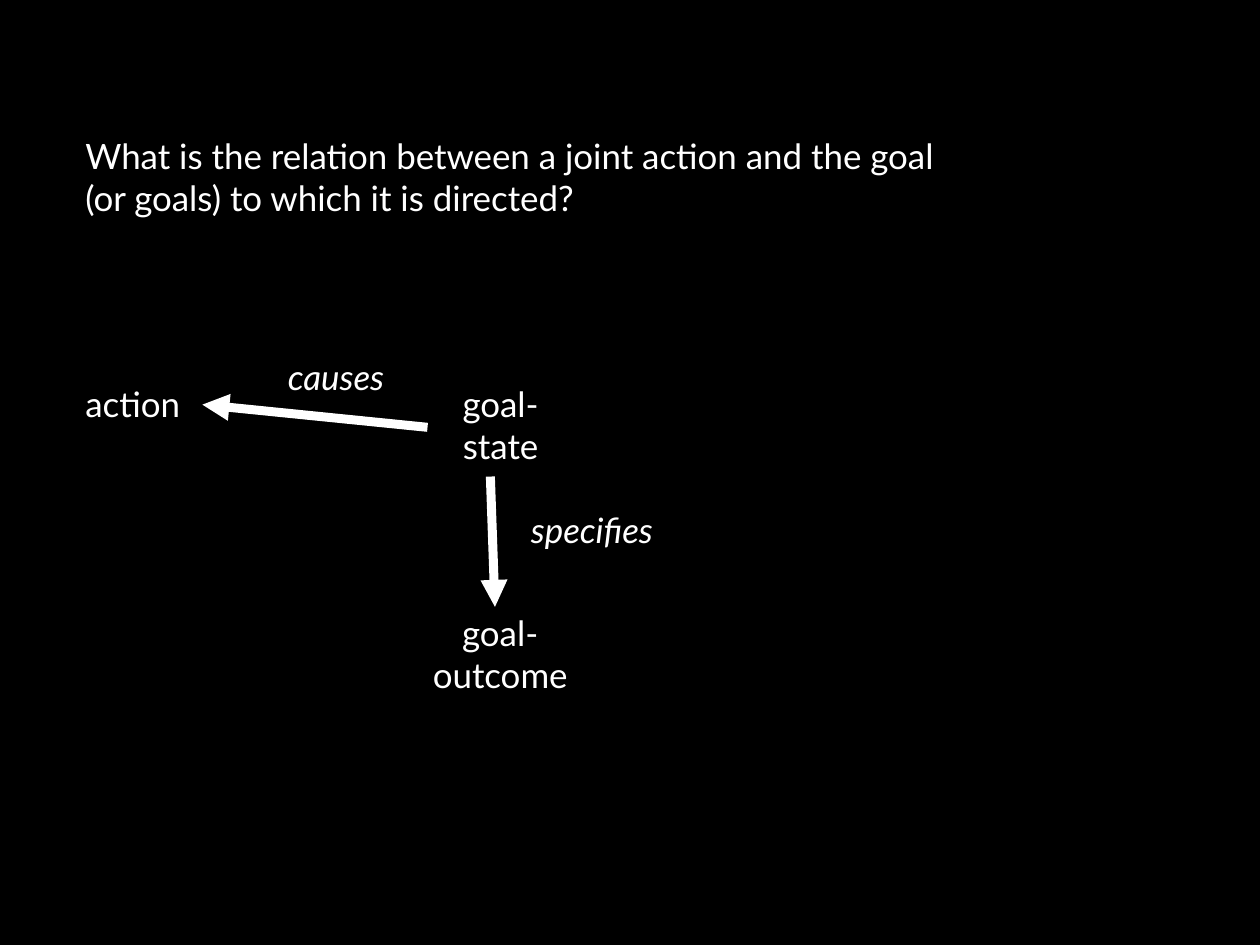
from lxml import etree
from pptx import Presentation
from pptx.dml.color import RGBColor
from pptx.enum.shapes import MSO_CONNECTOR
from pptx.enum.text import PP_ALIGN
from pptx.oxml.ns import qn
from pptx.util import Pt

STRAIGHT = MSO_CONNECTOR.STRAIGHT
LEFT, CENTER = PP_ALIGN.LEFT, PP_ALIGN.CENTER
COLORS = {"background": "000000", "foreground": "FFFFFF"}
WHITE = RGBColor.from_string(COLORS["foreground"])
BOX_HEIGHT = 57.6
MARGIN = 46.7
STATE_TOP = 237.4

deck = Presentation()
deck.slide_width, deck.slide_height = Pt(793.7), Pt(595.28)
page = deck.slides.add_slide(deck.slide_layouts[6])
page.background.fill.solid()
page.background.fill.fore_color.rgb = RGBColor.from_string(COLORS["background"])

question = "What is the relation between a joint action and the goal (or goals) to which it is directed?"
labels = [
    (question, MARGIN, 81.4, 574.6, LEFT, False),
    ("action", MARGIN, STATE_TOP, 80.6, LEFT, False),
    ("goal-state", 269.2, STATE_TOP, 92.2, CENTER, False),
    ("goal-outcome", 247.8, 381.6, 134.6, CENTER, False),
    ("causes", 174.2, 220.2, 80.6, LEFT, True),
    ("specifies", 327.4, 316.8, 112.3, LEFT, True),
]
for text, left, top, width, alignment, italic in labels:
    box = page.shapes.add_textbox(Pt(left), Pt(top), Pt(width), Pt(BOX_HEIGHT))
    box.text_frame.word_wrap = True
    box.text_frame.text = text
    para = box.text_frame.paragraphs[0]
    para.alignment = alignment
    font = para.runs[0].font
    font.name = "Lato"
    font.size = Pt(22)
    font.italic = italic
    font.color.rgb = WHITE

causes_arrow = (269.3, 269.2, 127.5, 254.9)
specifies_arrow = (308.9, 300.2, 311.8, 382.3)
for ends in (causes_arrow, specifies_arrow):
    arrow = page.shapes.add_connector(STRAIGHT, *[Pt(value) for value in ends])
    arrow.line.color.rgb = WHITE
    arrow.line.width = Pt(5.67)
    etree.SubElement(arrow.get_or_add_ln(), qn("a:tailEnd"), type="triangle")
    etree.SubElement(arrow.element.spPr, qn("a:effectLst"))

deck.save("out.pptx")
